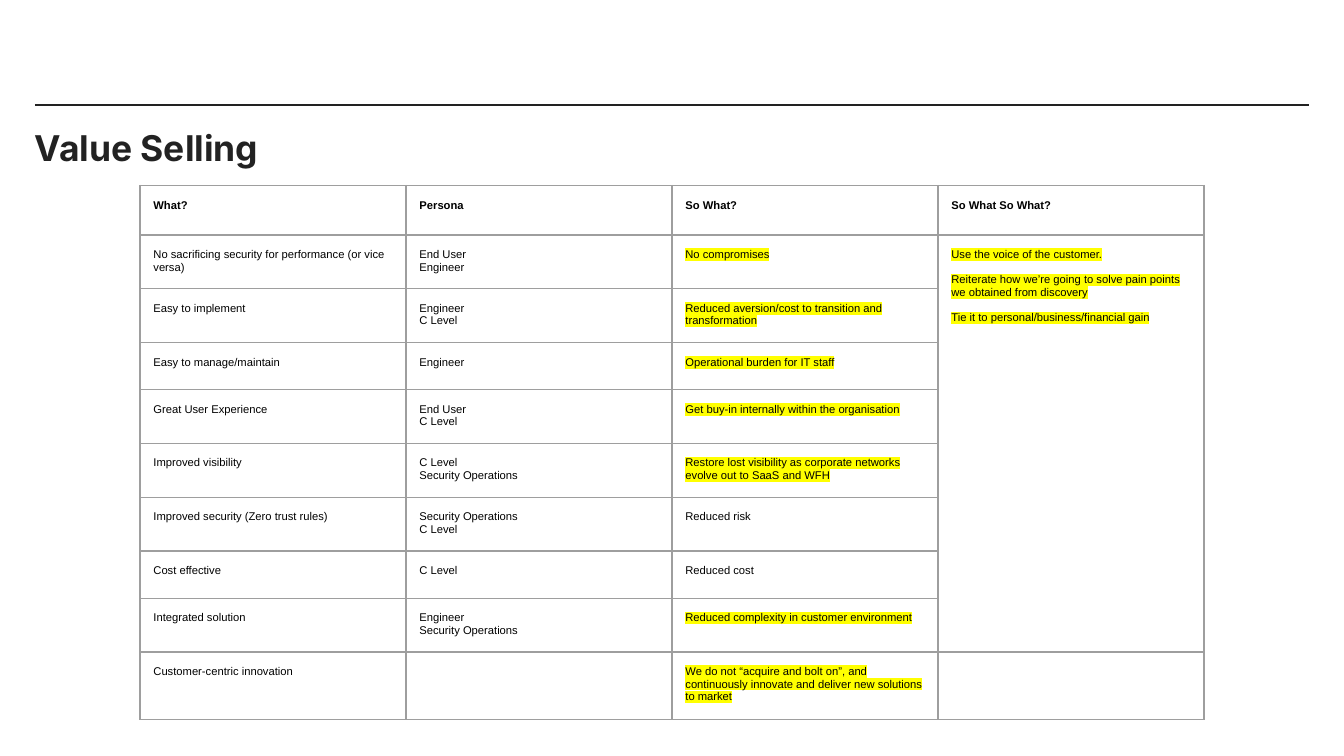
from lxml.etree import SubElement
from pptx import Presentation
from pptx.dml.color import RGBColor
from pptx.enum.shapes import MSO_CONNECTOR
from pptx.oxml import parse_xml
from pptx.oxml.ns import nsdecls, qn
from pptx.util import Pt

INK = RGBColor(0x22, 0x22, 0x22)
BLACK = RGBColor(0, 0, 0)
GREY = RGBColor(0x9E, 0x9E, 0x9E)
YELLOW = RGBColor(0xFF, 0xFF, 0)

HEADER = ["What?", "Persona", "So What?", "So What So What?"]
ROWS = [
    ("No sacrificing security for performance (or vice versa)", ["End User", "Engineer"],
     "No compromises", True),
    ("Easy to implement", ["Engineer", "C Level"],
     "Reduced aversion/cost to transition and transformation", True),
    ("Easy to manage/maintain", ["Engineer"], "Operational burden for IT staff", True),
    ("Great User Experience", ["End User", "C Level"],
     "Get buy-in internally within the organisation", True),
    ("Improved visibility", ["C Level", "Security Operations"],
     "Restore lost visibility as corporate networks evolve out to SaaS and WFH", True),
    ("Improved security (Zero trust rules)", ["Security Operations", "C Level"],
     "Reduced risk", False),
    ("Cost effective", ["C Level"], "Reduced cost", False),
    ("Integrated solution", ["Engineer", "Security Operations"],
     "Reduced complexity in customer environment", True),
    ("Customer-centric innovation", [],
     "We do not “acquire and bolt on”, and continuously innovate and deliver "
     "new solutions to market", True),
]
ADVICE = [
    "Use the voice of the customer.",
    "Reiterate how we’re going to solve pain points we obtained from discovery",
    "Tie it to personal/business/financial gain",
]


class Deck:
    title_font, body_font = "Inter", "Arial"
    title_size, body_size = Pt(19), Pt(6)
    line_width = Pt(0.75)
    inset = Pt(7.2)

    def __init__(self, width, height):
        self.prs = Presentation()
        self.prs.slide_width, self.prs.slide_height = Pt(width), Pt(height)
        self.s = self.prs.slides.add_slide(self.prs.slide_layouts[6])

    def style(self, font, name, size, color, bold):
        font.name, font.size, font.bold = name, size, bold
        font.color.rgb = color

    def rule(self, x1, x2, y):
        sp = self.s.shapes.add_connector(MSO_CONNECTOR.STRAIGHT, Pt(x1), Pt(y), Pt(x2), Pt(y))
        sp.line.color.rgb = INK
        sp.line.width = self.line_width
        SubElement(sp._element.spPr, qn("a:effectLst"))

    def title(self, text, x, y, w, h):
        tf = self.s.shapes.add_textbox(Pt(x), Pt(y), Pt(w), Pt(h)).text_frame
        tf.word_wrap = True
        tf.margin_left = tf.margin_right = tf.margin_top = tf.margin_bottom = 0
        p = tf.paragraphs[0]
        p.add_run().text = text
        self.style(p.font, self.title_font, self.title_size, INK, True)

    def table(self, x, y, col_width, row_heights, cols):
        shape = self.s.shapes.add_table(len(row_heights), cols, Pt(x), Pt(y),
                                        Pt(col_width * cols), Pt(sum(row_heights)))
        table = shape.table
        table.first_row = table.horz_banding = False
        for col in table.columns:
            col.width = Pt(col_width)
        for row, height in zip(table.rows, row_heights):
            row.height = Pt(height)
        for cell in table.iter_cells():
            self.frame(cell)
        return table

    def frame(self, cell):
        cell.margin_left = cell.margin_right = cell.margin_top = cell.margin_bottom = self.inset
        cell.fill.background()
        tcPr = cell._tc.get_or_add_tcPr()
        for i, side in enumerate("LRTB"):
            tcPr.insert(i, parse_xml(
                f'<a:ln{side} {nsdecls("a")} w="{self.line_width}"><a:solidFill>'
                f'<a:srgbClr val="{GREY}"/></a:solidFill></a:ln{side}>'))
        end = SubElement(cell.text_frame.paragraphs[0]._p, qn("a:endParaRPr"))
        end.set("sz", str(int(self.body_size.pt * 100)))

    def fill_cell(self, cell, lines, bold=False, marked=False, gap=0):
        tf = cell.text_frame
        for i, line in enumerate(lines):
            p = tf.add_paragraph() if i else tf.paragraphs[0]
            if i and gap:
                p.space_before = Pt(gap)
            r = p.add_run()
            r.text = line
            self.style(p.font, self.body_font, self.body_size, BLACK, bold)
            if marked:
                highlight = SubElement(r._r.get_or_add_rPr(), qn("a:highlight"))
                SubElement(highlight, qn("a:srgbClr")).set("val", str(YELLOW))


def main():
    deck = Deck(720, 405)
    deck.rule(18.7, 701.3, 56.2)
    deck.title("Value Selling", 18.7, 67.7, 682.6, 28)
    table = deck.table(75, 99.4, 142.5, [26.5] + [25.2] * len(ROWS), len(HEADER))
    for col, heading in enumerate(HEADER):
        deck.fill_cell(table.cell(0, col), [heading], bold=True)
    for row, (what, personas, so_what, marked) in enumerate(ROWS, 1):
        deck.fill_cell(table.cell(row, 0), [what])
        deck.fill_cell(table.cell(row, 1), personas)
        deck.fill_cell(table.cell(row, 2), [so_what], marked=marked)
    table.cell(1, 3).merge(table.cell(len(ROWS) - 1, 3))
    deck.fill_cell(table.cell(1, 3), ADVICE, marked=True, gap=6.8)
    deck.prs.save("out.pptx")


if __name__ == "__main__":
    main()
